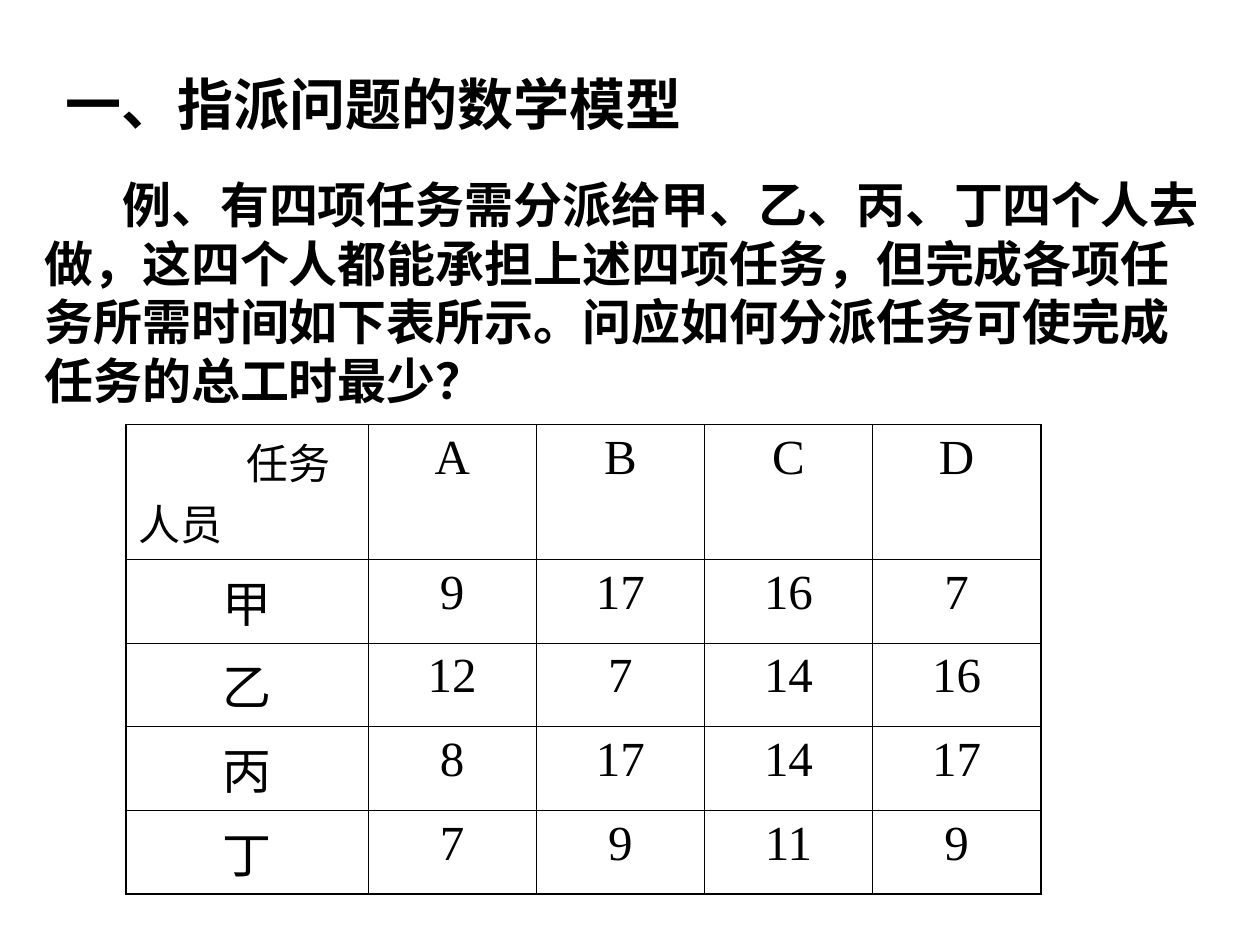
from dataclasses import dataclass

from lxml.etree import SubElement
from pptx import Presentation
from pptx.dml.color import RGBColor
from pptx.enum.text import MSO_ANCHOR, PP_ALIGN
from pptx.oxml.ns import qn
from pptx.util import Cm, Pt


@dataclass(frozen=True)
class Theme:
    font: str = "Times New Roman"
    ink: str = "000000"
    title: float = 32
    body: float = 28
    corner: float = 24
    leading: float = 1.2
    outer_line: float = 1.08
    inner_line: float = 0.45


THEME = Theme()


def write(frame, text, size, bold=False, align=PP_ALIGN.LEFT, before=0,
          indent=0, leading=None):
    """Fill a text frame with one unbulleted paragraph."""
    frame.word_wrap = True
    frame.vertical_anchor = MSO_ANCHOR.TOP
    para = frame.paragraphs[0]
    para.alignment = align
    para.space_before = Pt(before)
    if leading:
        para.line_spacing = Pt(size * leading)
    properties = para._p.get_or_add_pPr()
    properties.set("marL", "0")
    properties.set("indent", str(int(Cm(indent))))
    SubElement(properties, qn("a:buNone"))
    span = para.add_run()
    span.text = text
    span.font.name = THEME.font
    span.font.size = Pt(size)
    span.font.bold = bold
    span.font.color.rgb = RGBColor.from_string(THEME.ink)


def draw_border(cell, side, width):
    line = SubElement(cell._tc.get_or_add_tcPr(), qn(f"a:{side}"), w=str(int(Pt(width))))
    fill = SubElement(line, qn("a:solidFill"))
    SubElement(fill, qn("a:srgbClr"), val=THEME.ink)


deck = Presentation()
deck.slide_width, deck.slide_height = Cm(25.4), Cm(19.05)
page = deck.slides.add_slide(deck.slide_layouts[1])

# Heading and problem statement
title = page.shapes.title
title.left, title.top, title.width, title.height = Cm(1.06), Cm(1.27), Cm(21.8), Cm(1.63)
write(title.text_frame, "一、指派问题的数学模型", THEME.title, bold=True,
      before=20, leading=THEME.leading)

body = page.placeholders[1]
body.left, body.top, body.width, body.height = Cm(0.64), Cm(3.39), Cm(24.13), Cm(5)
write(body.text_frame,
      "例、有四项任务需分派给甲、乙、丙、丁四个人去做，这四个人都能承担上述四项任务，"
      "但完成各项任务所需时间如下表所示。问应如何分派任务可使完成任务的总工时最少？",
      THEME.body, bold=True, before=17.5, indent=1.57, leading=THEME.leading)

# Time each person needs for each task
times = [
    ["任务人员", "A", "B", "C", "D"],
    ["甲", "9", "17", "16", "7"],
    ["乙", "12", "7", "14", "16"],
    ["丙", "8", "17", "14", "17"],
    ["丁", "7", "9", "11", "9"],
]
column_widths = [4.88] + [3.39] * 4
row_heights = [2.67] + [1.69] * 3 + [1.48]
table = page.shapes.add_table(
    len(times), len(times[0]), Cm(2.54), Cm(8.56),
    Cm(sum(column_widths)), Cm(sum(row_heights))).table
table.first_row = table.horz_banding = False
for column, width in zip(table.columns, column_widths):
    column.width = Cm(width)
for row, height in zip(table.rows, row_heights):
    row.height = Cm(height)

last_row, last_column = len(times) - 1, len(times[0]) - 1
for r, row in enumerate(times):
    for c, text in enumerate(row):
        cell = table.cell(r, c)
        if r == c == 0:
            # The indent leaves room for two characters, so the second pair wraps
            write(cell.text_frame, text, THEME.corner, before=6, indent=2.18)
        else:
            write(cell.text_frame, text, THEME.body, align=PP_ALIGN.CENTER, before=7)
        edges = {"lnL": c == 0, "lnR": c == last_column,
                 "lnT": r == 0, "lnB": r == last_row}
        for side, is_outer in edges.items():
            draw_border(cell, side, THEME.outer_line if is_outer else THEME.inner_line)
        cell.fill.background()

deck.save("out.pptx")
